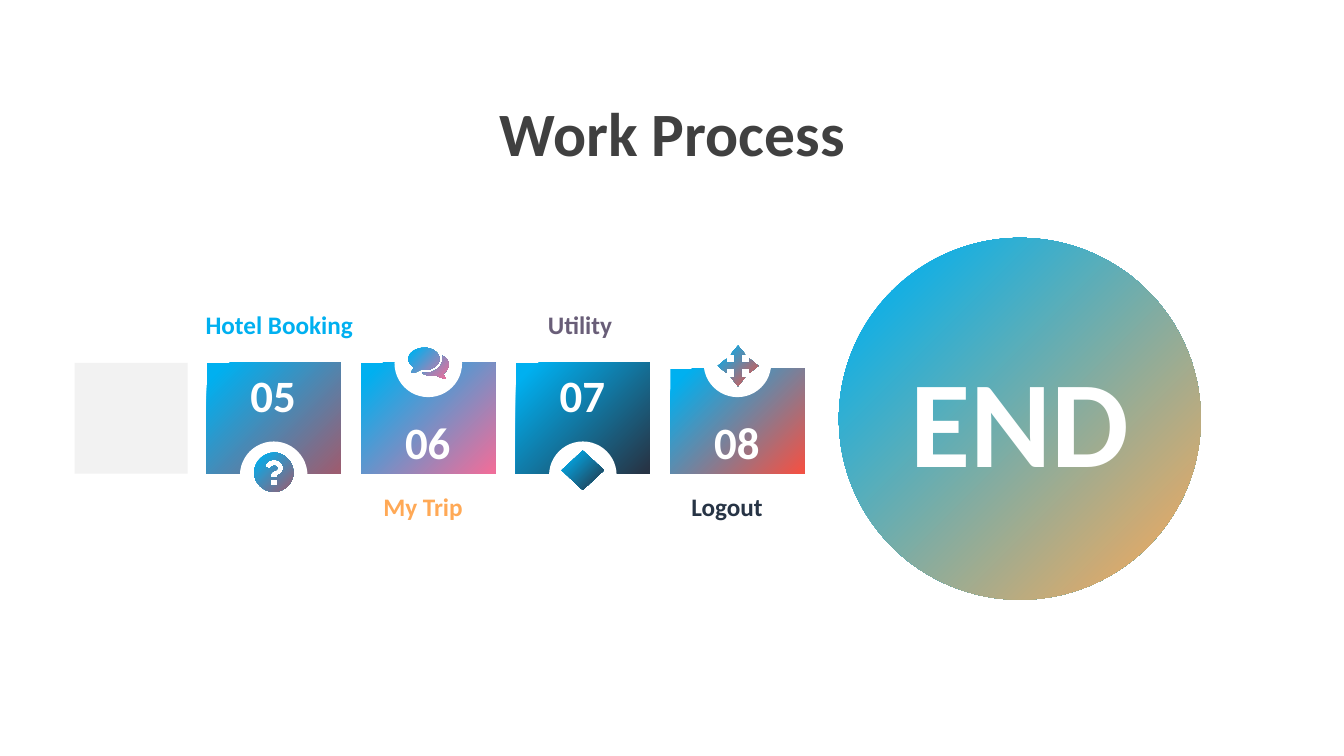
from pptx import Presentation
from pptx.dml.color import RGBColor
from pptx.enum.shapes import MSO_SHAPE
from pptx.enum.text import MSO_ANCHOR, PP_ALIGN
from pptx.util import Inches, Pt

FONT = "Calibri"
WHITE = RGBColor(0xFF, 0xFF, 0xFF)
LIGHT = RGBColor(0xF2, 0xF2, 0xF2)
GRAY = RGBColor(0x40, 0x40, 0x40)
BLUE = RGBColor(0x00, 0xB0, 0xF0)
ORANGE = RGBColor(0xFF, 0xA9, 0x56)
ROSE = RGBColor(0x9C, 0x5D, 0x71)
PINK = RGBColor(0xEF, 0x6E, 0x9A)
NAVY = RGBColor(0x27, 0x34, 0x45)
RED = RGBColor(0xF2, 0x52, 0x45)
PURPLE = RGBColor(0x69, 0x5E, 0x78)

# number, label, label colour, gradient end, label shift, block top, icon
STEPS = [
    ("05", "Hotel Booking", BLUE, ROSE, -0.11, 3.6, "question"),
    ("06", "My Trip", ORANGE, PINK, 0.12, 3.6, "chat"),
    ("07", "Utility", PURPLE, NAVY, 0.22, 3.6, "diamond"),
    ("08", "Logout", NAVY, RED, 0.11, 3.66, "move"),
]
FIRST_LEFT, PITCH, BLOCK_W, BOTTOM = 2.05, 1.533, 1.33, 4.7
BADGE = 0.67

PRESET_ICONS = {
    "diamond": (MSO_SHAPE.DIAMOND, 5.57, 4.47, 0.42, 0.39, ()),
    "move": (MSO_SHAPE.QUAD_ARROW, 7.12, 3.43, 0.4, 0.4, (0.15, 0.175, 0.21)),
}
OUTLINE_ICONS = {
    "question": [
        [(2.72, 4.88), (2.61, 4.88, 2.52, 4.79, 2.52, 4.69),
         (2.52, 4.58, 2.61, 4.49, 2.72, 4.49),
         (2.82, 4.49, 2.91, 4.58, 2.91, 4.69),
         (2.91, 4.79, 2.82, 4.88, 2.72, 4.88)],
        [(2.72, 4.56), (2.68, 4.56, 2.65, 4.58, 2.63, 4.61), (2.63, 4.63),
         (2.67, 4.65), (2.68, 4.65), (2.69, 4.63, 2.69, 4.63, 2.7, 4.63),
         (2.7, 4.63, 2.71, 4.62, 2.72, 4.62),
         (2.73, 4.62, 2.75, 4.63, 2.75, 4.64),
         (2.75, 4.66, 2.74, 4.66, 2.73, 4.67),
         (2.71, 4.67, 2.68, 4.69, 2.68, 4.72), (2.68, 4.73), (2.69, 4.74),
         (2.74, 4.74), (2.75, 4.73), (2.75, 4.72, 2.76, 4.71, 2.77, 4.71),
         (2.79, 4.69, 2.81, 4.68, 2.81, 4.64),
         (2.81, 4.59, 2.76, 4.56, 2.72, 4.56)],
        [(2.75, 4.76), (2.68, 4.76), (2.68, 4.81), (2.69, 4.82),
         (2.74, 4.82), (2.75, 4.81)],
    ],
    "chat": [
        [(4.21, 3.67), (4.19, 3.67, 4.18, 3.67, 4.17, 3.67),
         (4.15, 3.68, 4.13, 3.69, 4.11, 3.7), (4.08, 3.7), (4.08, 3.69),
         (4.09, 3.67, 4.1, 3.67, 4.11, 3.65),
         (4.08, 3.62, 4.05, 3.6, 4.05, 3.56),
         (4.05, 3.5, 4.12, 3.45, 4.21, 3.45),
         (4.29, 3.45, 4.36, 3.5, 4.36, 3.56),
         (4.36, 3.62, 4.29, 3.67, 4.21, 3.67)],
        [(4.39, 3.71), (4.4, 3.72, 4.41, 3.73, 4.41, 3.74), (4.42, 3.75),
         (4.41, 3.76), (4.41, 3.76, 4.4, 3.76, 4.39, 3.75),
         (4.37, 3.75, 4.35, 3.74, 4.33, 3.72),
         (4.32, 3.73, 4.31, 3.73, 4.29, 3.73),
         (4.25, 3.73, 4.21, 3.72, 4.19, 3.7), (4.21, 3.7),
         (4.25, 3.7, 4.3, 3.69, 4.34, 3.66),
         (4.37, 3.64, 4.39, 3.6, 4.39, 3.56), (4.39, 3.53),
         (4.43, 3.55, 4.45, 3.58, 4.45, 3.61),
         (4.45, 3.65, 4.43, 3.69, 4.39, 3.71)],
    ],
}


def paint(sp, start, end=None, stops=(0.08, 0.98)):
    sp.shadow.inherit = False
    sp.line.fill.background()
    if end is None:
        sp.fill.solid()
        sp.fill.fore_color.rgb = start
        return
    sp.fill.gradient()
    sp.fill.gradient_angle = 315
    for stop, color, position in zip(sp.fill.gradient_stops, (start, end), stops):
        stop.color.rgb = color
        stop.position = position


def add_block(s, kind, x, y, w, h, *colors, **options):
    sp = s.shapes.add_shape(kind, Inches(x), Inches(y), Inches(w), Inches(h))
    paint(sp, *colors, **options)
    return sp


def write(sp, text, size, color, align):
    tf = sp.text_frame
    tf.word_wrap = True
    p = tf.paragraphs[0]
    p.alignment = align
    r = p.add_run()
    r.text = text
    r.font.name = FONT
    r.font.size = Pt(size)
    r.font.bold = True
    r.font.color.rgb = color


def add_text(s, x, y, w, h, text, size, color, align=PP_ALIGN.CENTER):
    sp = s.shapes.add_textbox(Inches(x), Inches(y), Inches(w), Inches(h))
    write(sp, text, size, color, align)


def flatten(contour, parts=8):
    points = [contour[0]]
    for segment in contour[1:]:
        if len(segment) == 2:
            points.append(segment)
            continue
        curve = (points[-1], segment[:2], segment[2:4], segment[4:])
        for i in range(1, parts + 1):
            t = i / parts
            weights = ((1 - t) ** 3, 3 * t * (1 - t) ** 2, 3 * t * t * (1 - t), t ** 3)
            points.append(tuple(sum(k * c[axis] for k, c in zip(weights, curve))
                                for axis in (0, 1)))
    return [(Inches(x), Inches(y)) for x, y in points]


def add_icon(s, name, end):
    if name in PRESET_ICONS:
        kind, x, y, w, h, adjustments = PRESET_ICONS[name]
        sp = add_block(s, kind, x, y, w, h, BLUE, end)
        for i, value in enumerate(adjustments):
            sp.adjustments[i] = value
        return
    outlines = [flatten(contour) for contour in OUTLINE_ICONS[name]]
    builder = s.shapes.build_freeform(*outlines[0][0], scale=1.0)
    for i, points in enumerate(outlines):
        if i:
            builder.move_to(*points[0])
        builder.add_line_segments(points[1:], close=True)
    paint(builder.convert_to_shape(), BLUE, end)


def add_step(s, index, step):
    number, label, color, end, shift, top, icon = step
    x = FIRST_LEFT + index * PITCH
    label_above = index % 2 == 0
    badge_y, number_y, label_y = (4.38, 3.6, 3.02) if label_above else (3.27, 4.07, 4.83)
    add_block(s, MSO_SHAPE.RECTANGLE, x, top, BLOCK_W, BOTTOM - top, BLUE, end)
    add_block(s, MSO_SHAPE.OVAL, x + (BLOCK_W - BADGE) / 2, badge_y, BADGE, BADGE, WHITE)
    add_text(s, x + 0.23, number_y, 0.86, 0.64, number, 32, WHITE)
    add_icon(s, icon, end)
    add_text(s, x + shift, label_y, 2.6, 0.4, label, 18, color, PP_ALIGN.LEFT)


def main():
    prs = Presentation()
    prs.slide_width, prs.slide_height = Inches(13.33), Inches(7.5)
    s = prs.slides.add_slide(prs.slide_layouts[5])
    title = s.shapes.title
    title.left, title.top = Inches(4.27), Inches(0.89)
    title.width, title.height = Inches(4.8), Inches(0.84)
    title.text_frame.vertical_anchor = MSO_ANCHOR.MIDDLE
    write(title, "Work Process", 44, GRAY, PP_ALIGN.CENTER)

    add_block(s, MSO_SHAPE.RECTANGLE, 0.74, 3.6, 1.12, 1.1, LIGHT)
    add_block(s, MSO_SHAPE.OVAL, 8.32, 2.36, 3.59, 3.59, BLUE, ORANGE, stops=(0.07, 1))
    add_text(s, 8.38, 3.37, 3.47, 1.58, "END", 88, WHITE)
    for index, step in enumerate(STEPS):
        add_step(s, index, step)
    prs.save("out.pptx")


if __name__ == "__main__":
    main()
